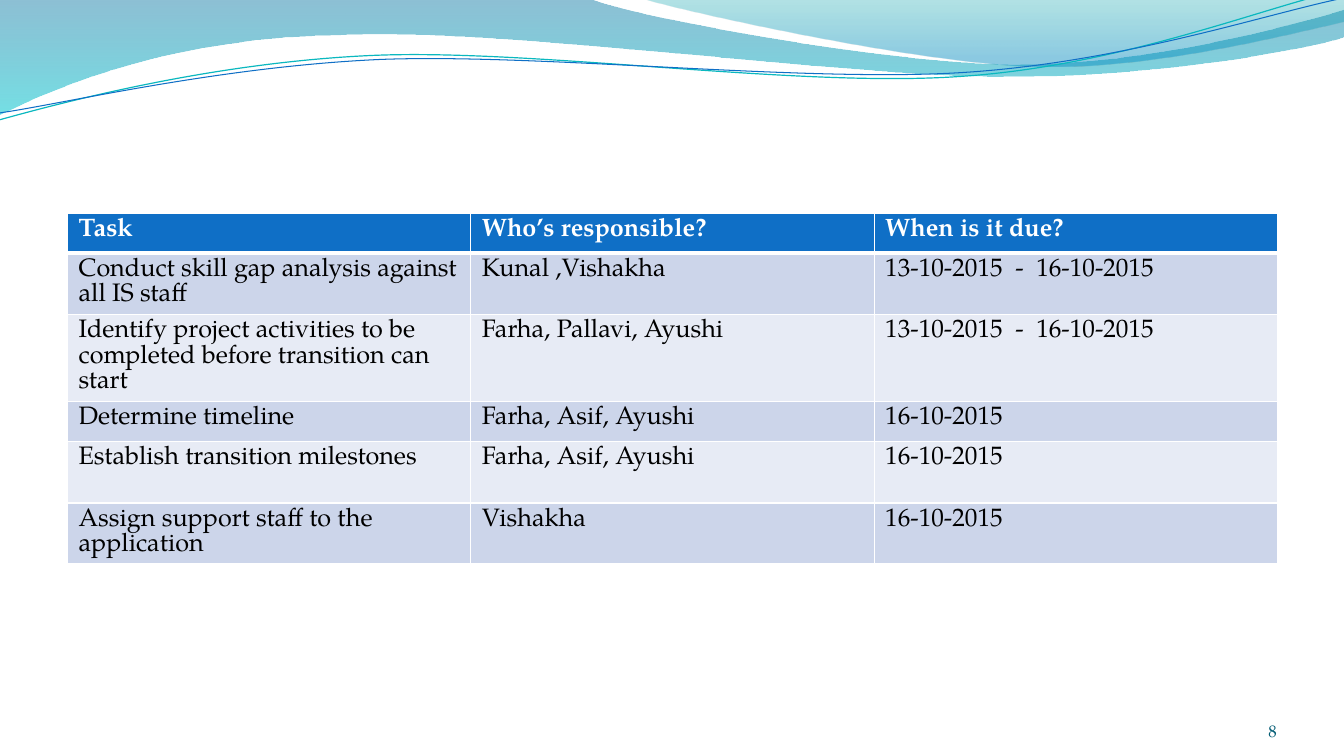
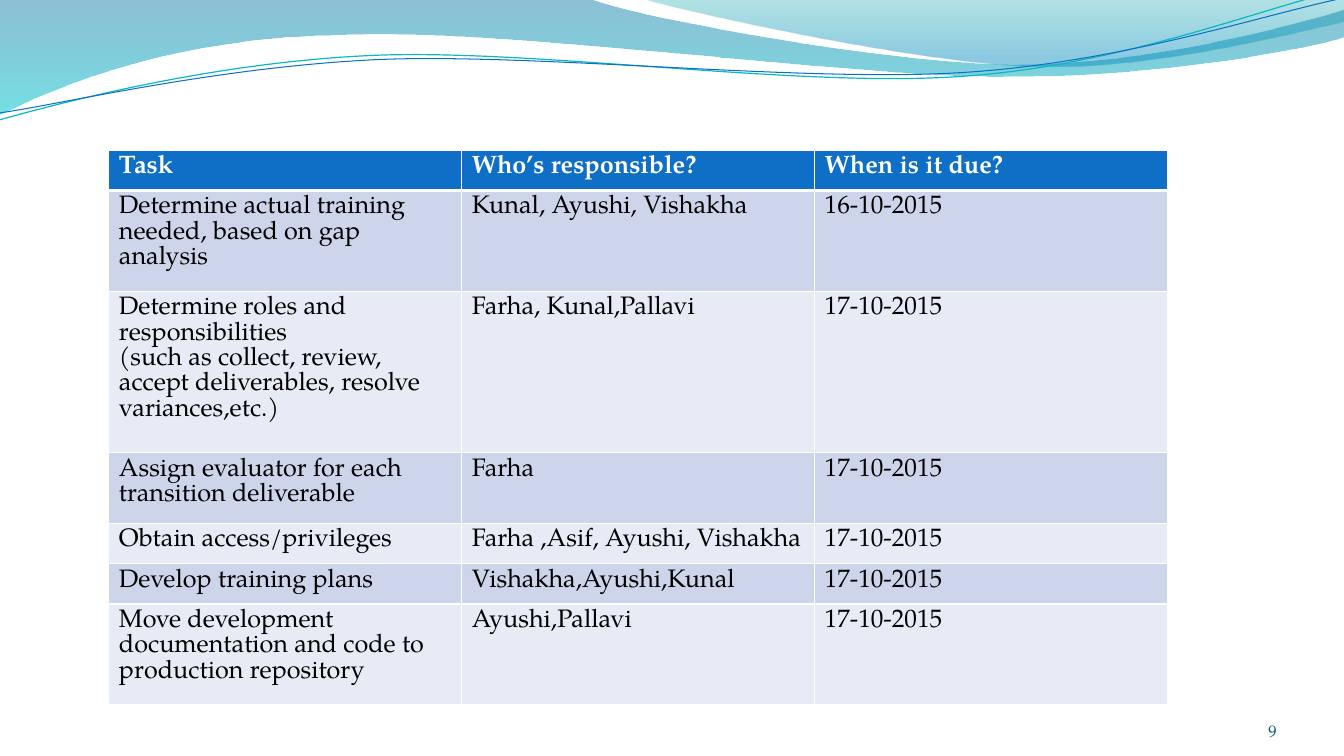
import dataclasses

import lxml.etree
import pptx
import pptx.dml.color
import pptx.enum.text
import pptx.oxml.ns
import pptx.util

SLIDE_W, SLIDE_H = 13.33, 7.5
BLANK_LAYOUT = 6


@dataclasses.dataclass(frozen=True)
class Theme:
    """Colours, font, type sizes and line widths shared by the slides."""
    font: str = "TeX Gyre Pagella"
    body_size: float = 18
    number_size: float = 12
    white: str = "FFFFFF"
    text: str = "000000"
    number: str = "045D75"
    header: str = "0F6FC6"
    bands: tuple = ("CCD5EA", "E7EBF5")
    teal_line: str = "0AB8BF"
    blue_line: str = "0F6FC6"
    border: float = 1
    header_rule: float = 3
    # Each gradient stop is (position, colour, opacity in percent).
    wide_wave: tuple = ((0, "0074A1", 45), (1, "00C6CF", 55))
    right_wave: tuple = ((0, "00A1A9", 30), (0.8, "008BBF", 45))


THEME = Theme()
HEADINGS = ("Task", "Who’s responsible?", "When is it due?")

# A path is a start point, then steps: one point for a line, three for a curve.
WIDE_WAVE = ((-0.01, 0), [
    ((5.87, 0),),
    ((6.34, 0.18), (8.84, 0.64), (10.11, 0.64)),
    ((11.37, 0.64), (12.77, 0.27), (13.33, 0.1)),
    ((13.34, 0.37),),
    ((13.11, 0.45), (11.59, 0.77), (9.94, 0.76)),
    ((8.29, 0.76), (5.09, 0.29), (3.43, 0.35)),
    ((1.72, 0.37), (0.61, 0.84), (-0.01, 1.14)),
])
RIGHT_WAVE = ((6.39, 0), [
    ((6.79, 0.12), (9.09, 0.63), (10.25, 0.66)),
    ((11.4, 0.7), (12.82, 0.33), (13.33, 0.22)),
    ((13.33, 0),),
])
TEAL_STRAND = ((-0.01, 1.19), [
    ((0.64, 1.01), (2.11, 0.62), (3.69, 0.55)),
    ((5.27, 0.48), (7.89, 0.87), (9.5, 0.76)),
    ((11.1, 0.66), (12.51, 0.08), (13.31, -0.1)),
])
BLUE_STRAND = ((0, 1.12), [
    ((0.63, 1.03), (2.18, 0.66), (3.78, 0.59)),
    ((5.37, 0.53), (7.96, 0.82), (9.55, 0.72)),
    ((11.14, 0.62), (12.55, 0.14), (13.33, -0.02)),
])


@dataclasses.dataclass(frozen=True)
class TaskPage:
    """One slide of tasks: number, table box, row heights and rows."""
    number: int
    left: float
    top: float
    width: float
    height: float
    inset: float
    row_heights: tuple
    rows: tuple


PAGES = (
    TaskPage(8, 0.67, 2.12, 12, 3.48, 0.11, (0.39, 0.61, 0.86, 0.4, 0.61, 0.6), (
        ("Conduct skill gap analysis against all IS staff",
         "Kunal ,Vishakha", "13-10-2015  -  16-10-2015"),
        ("Identify project activities to be completed before transition can start",
         "Farha, Pallavi, Ayushi", "13-10-2015  -  16-10-2015"),
        ("Determine timeline", "Farha, Asif, Ayushi", "16-10-2015"),
        ("Establish transition milestones", "Farha, Asif, Ayushi", "16-10-2015"),
        ("Assign support staff to the\napplication", "Vishakha", "16-10-2015"),
    )),
    TaskPage(9, 1.08, 1.49, 10.5, 5.2, 0.1, (0.39, 0.68, 1.55, 0.68, 0.39, 0.39, 0.97), (
        ("Determine actual training needed, based on gap analysis",
         "Kunal, Ayushi, Vishakha", "16-10-2015"),
        ("Determine roles and responsibilities\n"
         "(such as collect, review, accept deliverables, resolve variances,etc.)",
         "Farha, Kunal,Pallavi", "17-10-2015"),
        ("Assign evaluator for each transition deliverable", "Farha", "17-10-2015"),
        ("Obtain access/privileges", "Farha ,Asif, Ayushi, Vishakha", "17-10-2015"),
        ("Develop training plans", "Vishakha,Ayushi,Kunal", "17-10-2015"),
        ("Move development documentation and code to production repository",
         "Ayushi,Pallavi", "17-10-2015"),
    )),
)


def qn(tag):
    """Return the full XML name of a prefixed tag."""
    return pptx.oxml.ns.qn(tag)


def rgb(colour):
    """Return the colour object for a hex string."""
    return pptx.dml.color.RGBColor.from_string(colour)


def inches(*values):
    """Return the values as lengths."""
    return [pptx.util.Inches(v) for v in values]


def format_text(tf, size, colour, bold=False):
    """Give every run in a text frame the theme font and a style."""
    for p in tf.paragraphs:
        for r in p.runs:
            r.font.name = THEME.font
            r.font.size = pptx.util.Pt(size)
            r.font.bold = bold
            r.font.color.rgb = rgb(colour)


def add_outline(s, outline, close):
    """Build a freeform along lines and cubic curves, without shadow."""
    start, steps = outline
    builder = s.shapes.build_freeform(*inches(*start))
    builder.add_line_segments([inches(*point) for step in steps for point in step],
                              close=close)
    sp = builder.convert_to_shape()
    sp.shadow.inherit = False
    segments = sp.element.iter(qn("a:lnTo"))
    for step, group in [(step, [next(segments) for _ in step]) for step in steps]:
        if len(step) == 3:
            curve = lxml.etree.Element(qn("a:cubicBezTo"))
            group[0].addprevious(curve)
            for segment in group:
                curve.append(segment[0])
                segment.getparent().remove(segment)
    return sp


def add_wave(s, outline, stops):
    """Add a closed wave with a translucent gradient from top to bottom."""
    sp = add_outline(s, outline, True)
    sp.line.fill.background()
    sp.fill.gradient()
    sp.fill.gradient_angle = 270
    for stop, (position, colour, _) in zip(sp.fill.gradient_stops, stops):
        stop.position = position
        stop.color.rgb = rgb(colour)
    gradient = next(sp.element.iter(qn("a:gradFill")))
    for clr, (_, _, opacity) in zip(gradient.iter(qn("a:srgbClr")), stops):
        lxml.etree.SubElement(clr, qn("a:alpha"), val=str(opacity * 1000))
    return sp


def add_strand(s, outline, colour, width):
    """Add an open curved line."""
    sp = add_outline(s, outline, False)
    sp.fill.background()
    sp.line.color.rgb = rgb(colour)
    sp.line.width = pptx.util.Pt(width)
    return sp


def dress_layout(layout, s):
    """Clear the layout and move the waves, built on a slide, onto it."""
    for ph in list(layout.placeholders):
        ph.element.getparent().remove(ph.element)
    for sp in (add_wave(s, WIDE_WAVE, THEME.wide_wave),
               add_wave(s, RIGHT_WAVE, THEME.right_wave),
               add_strand(s, TEAL_STRAND, THEME.teal_line, 0.85),
               add_strand(s, BLUE_STRAND, THEME.blue_line, 0.75)):
        layout.shapes.element.append(sp.element)


def set_borders(cell, top, bottom):
    """Draw white cell borders, with the given top and bottom widths."""
    tc_pr = cell._tc.get_or_add_tcPr()
    widths = {"a:lnL": THEME.border, "a:lnR": THEME.border, "a:lnT": top, "a:lnB": bottom}
    for i, (tag, width) in enumerate(widths.items()):
        ln = lxml.etree.Element(qn(tag), w=str(pptx.util.Pt(width)))
        fill = lxml.etree.SubElement(ln, qn("a:solidFill"))
        lxml.etree.SubElement(fill, qn("a:srgbClr"), val=THEME.white)
        tc_pr.insert(i, ln)


def add_task_table(s, page):
    """Add the task table with equal columns in the box of the page."""
    rows = (HEADINGS, *page.rows)
    frame = s.shapes.add_table(len(rows), len(HEADINGS), *inches(
        page.left, page.top, page.width, page.height))
    table = frame.table
    table.horz_banding = False
    for row, height in zip(table.rows, page.row_heights):
        row.height = pptx.util.Inches(height)
    frame.height = pptx.util.Inches(page.height)
    for i, texts in enumerate(rows):
        is_header = i == 0
        for j, text in enumerate(texts):
            cell = table.cell(i, j)
            cell.margin_left = cell.margin_right = pptx.util.Inches(page.inset)
            cell.text_frame.text = text
            format_text(cell.text_frame, THEME.body_size,
                        THEME.white if is_header else THEME.text, is_header)
            cell.fill.solid()
            cell.fill.fore_color.rgb = rgb(
                THEME.header if is_header else THEME.bands[(i - 1) % 2])
            set_borders(cell,
                        THEME.header_rule if i == 1 else THEME.border,
                        THEME.header_rule if is_header else THEME.border)


def add_slide_number(s, number):
    """Add the slide number at the bottom right, inside the margin."""
    width, height, margin = SLIDE_W / 12, 0.4, SLIDE_W / 20
    box = s.shapes.add_textbox(*inches(
        SLIDE_W - margin - width, SLIDE_H - 0.15 - height, width, height))
    tf = box.text_frame
    tf.word_wrap = True
    tf.margin_left = tf.margin_right = tf.margin_top = tf.margin_bottom = 0
    tf.vertical_anchor = pptx.enum.text.MSO_ANCHOR.BOTTOM
    tf.text = str(number)
    tf.paragraphs[0].alignment = pptx.enum.text.PP_ALIGN.RIGHT
    format_text(tf, THEME.number_size, THEME.number)


def main():
    """Build the deck of task pages and save it."""
    prs = pptx.Presentation()
    prs.slide_width, prs.slide_height = inches(SLIDE_W, SLIDE_H)
    layout = prs.slide_layouts[BLANK_LAYOUT]
    slides = [prs.slides.add_slide(layout) for _ in PAGES]
    dress_layout(layout, slides[0])
    for s, page in zip(slides, PAGES):
        add_task_table(s, page)
        add_slide_number(s, page.number)
    prs.save("out.pptx")


main()
